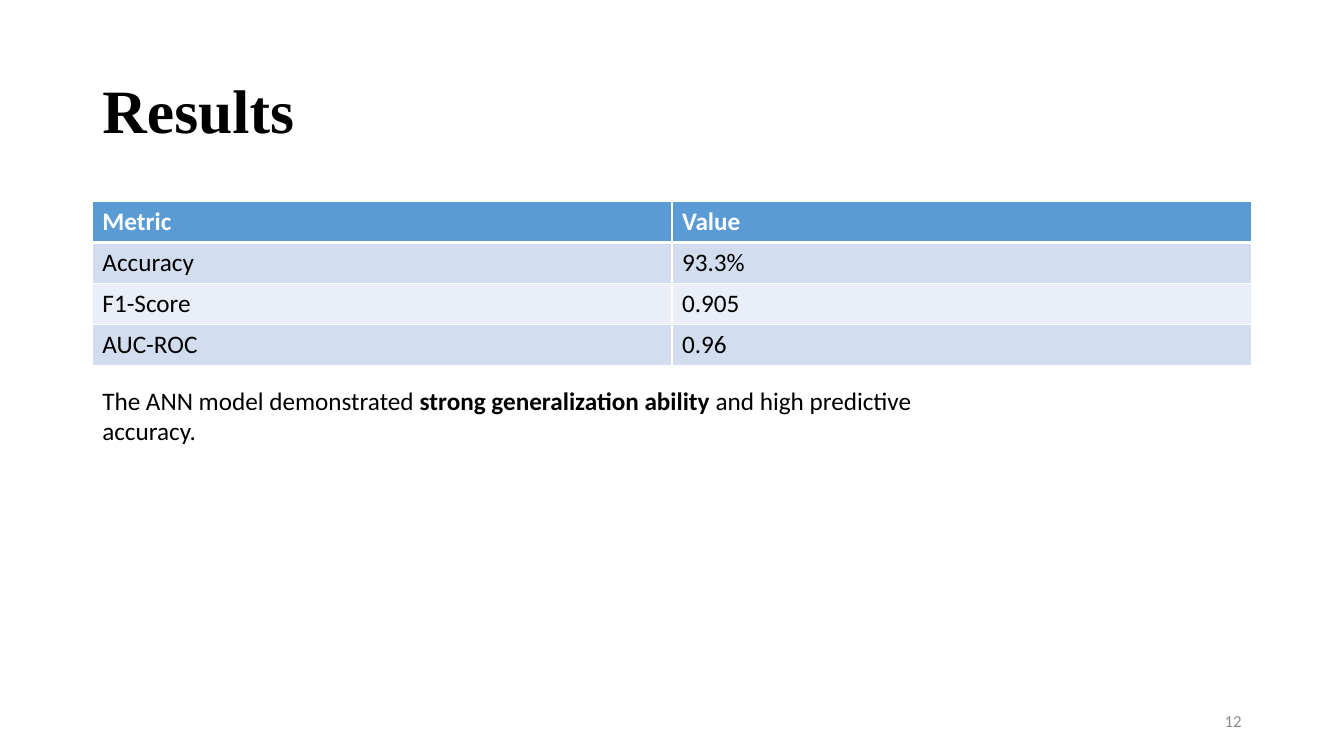
from dataclasses import dataclass

from lxml.etree import SubElement
from pptx import Presentation
from pptx.dml.color import RGBColor
from pptx.enum.text import MSO_ANCHOR, MSO_AUTO_SIZE, PP_ALIGN
from pptx.oxml.ns import qn
from pptx.util import Pt


@dataclass(frozen=True)
class Theme:
    title_font: str = "Times New Roman"
    body_font: str = "Calibri"
    title_size: int = 44
    body_size: int = 18
    number_size: int = 12
    black: str = "000000"
    white: str = "FFFFFF"
    gray: str = "8C8C8C"
    header_fill: str = "5B9BD5"
    band_fills: tuple = ("D2DEEF", "EAEFF7")


THEME = Theme()
LEFT = 66
CONTENT_WIDTH = 828
ROW_HEIGHT = 29.2

METRICS = [
    ("Metric", "Value"),
    ("Accuracy", "93.3%"),
    ("F1-Score", "0.905"),
    ("AUC-ROC", "0.96"),
]
CONCLUSION = [
    ("The ANN model demonstrated ", False),
    ("strong generalization ability", True),
    (" and high predictive accuracy.", False),
]


def style_span(span, size, color, bold=False, font=THEME.body_font):
    span.font.name = font
    span.font.size = Pt(size)
    span.font.bold = bold
    span.font.color.rgb = RGBColor.from_string(color)


def place(shape, left, top, width, height):
    shape.left, shape.top = Pt(left), Pt(top)
    shape.width, shape.height = Pt(width), Pt(height)


def set_title(page, text):
    title = page.shapes.title
    place(title, LEFT, 28.75, CONTENT_WIDTH, 104.4)
    frame = title.text_frame
    frame.text = text
    frame.auto_size = MSO_AUTO_SIZE.NONE
    frame.vertical_anchor = MSO_ANCHOR.MIDDLE
    para = frame.paragraphs[0]
    para.alignment = PP_ALIGN.LEFT
    para.line_spacing = 0.9
    style_span(para.runs[0], THEME.title_size, THEME.black, True, THEME.title_font)


def set_border(cell, side, width):
    properties = cell._tc.get_or_add_tcPr()
    line = SubElement(properties, qn(f"a:ln{side}"), w=str(Pt(width)))
    fill = SubElement(line, qn("a:solidFill"))
    SubElement(fill, qn("a:srgbClr"), val=THEME.white)


def style_cell(cell, row_index):
    is_header = row_index == 0
    widths = {"L": 1, "R": 1, "T": 3 if row_index == 1 else 1, "B": 3 if is_header else 1}
    for side, width in widths.items():
        set_border(cell, side, width)
    fill_color = THEME.header_fill if is_header else THEME.band_fills[(row_index - 1) % 2]
    cell.fill.solid()
    cell.fill.fore_color.rgb = RGBColor.from_string(fill_color)
    cell.vertical_anchor = MSO_ANCHOR.MIDDLE
    text_color = THEME.white if is_header else THEME.black
    style_span(cell.text_frame.paragraphs[0].runs[0], THEME.body_size, text_color, is_header)


def add_metrics_table(page, rows):
    height = ROW_HEIGHT * len(rows)
    frame = page.shapes.add_table(
        len(rows), len(rows[0]), Pt(LEFT), Pt(144), Pt(CONTENT_WIDTH), Pt(height)
    )
    for row_index, values in enumerate(rows):
        for column_index, value in enumerate(values):
            cell = frame.table.cell(row_index, column_index)
            cell.text = value
            style_cell(cell, row_index)


def add_text(page, bounds, spans, size, color, alignment=PP_ALIGN.LEFT, anchor=MSO_ANCHOR.TOP):
    box = page.shapes.add_textbox(*map(Pt, bounds))
    frame = box.text_frame
    frame.word_wrap = True
    frame.vertical_anchor = anchor
    para = frame.paragraphs[0]
    para.alignment = alignment
    for text, bold in spans:
        span = para.add_run()
        span.text = text
        style_span(span, size, color, bold)


def main():
    deck = Presentation()
    deck.slide_width, deck.slide_height = Pt(960), Pt(540)
    page = deck.slides.add_slide(deck.slide_layouts[5])
    set_title(page, "Results")
    add_metrics_table(page, METRICS)
    add_text(page, (678, 500.5, 216, 28.75), [("12", False)], THEME.number_size,
             THEME.gray, PP_ALIGN.RIGHT, MSO_ANCHOR.MIDDLE)
    add_text(page, (LEFT, 271.5, 654, 94.5), CONCLUSION, THEME.body_size, THEME.black)
    deck.save("out.pptx")


if __name__ == "__main__":
    main()
